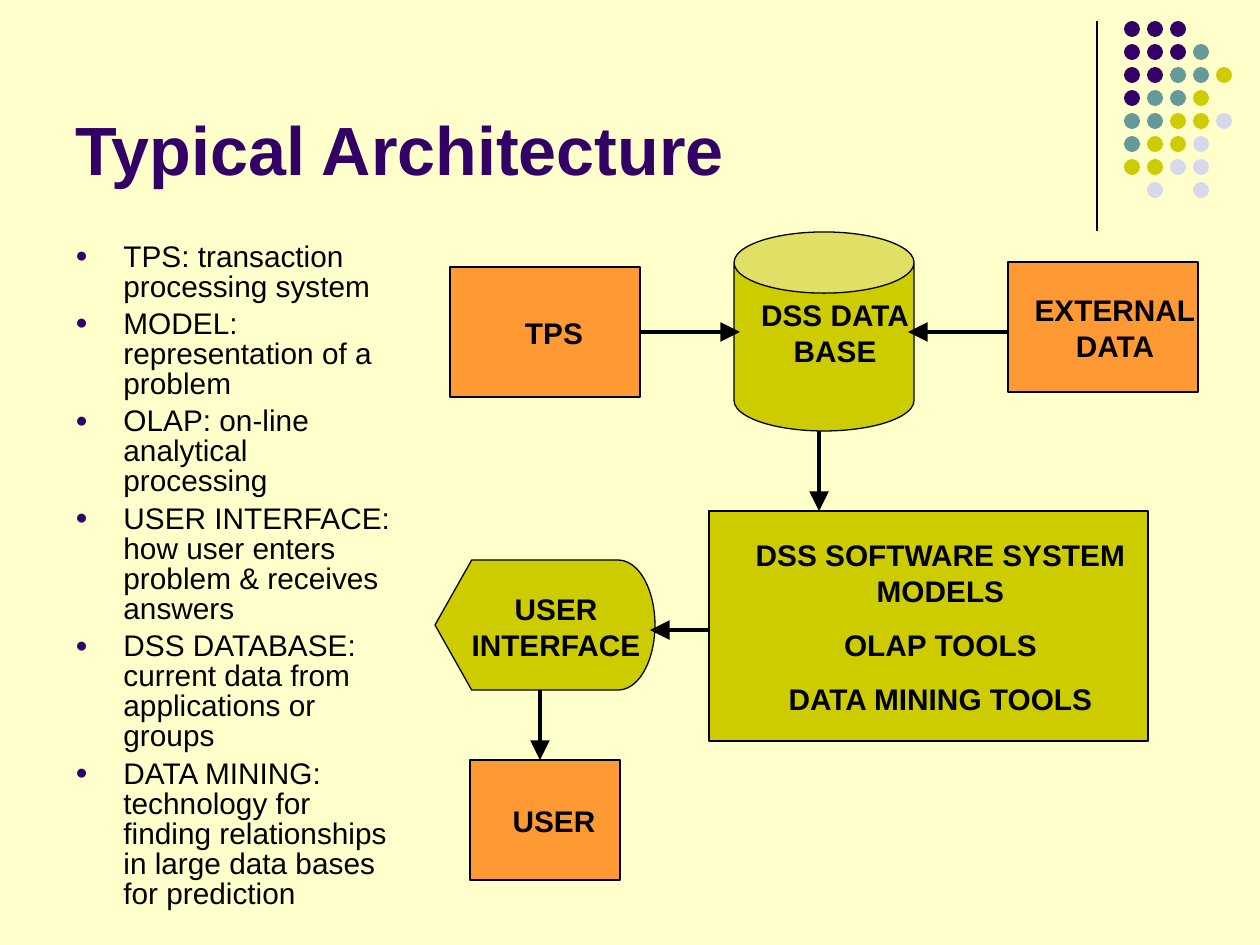
from lxml.etree import SubElement
from pptx import Presentation
from pptx.dml.color import RGBColor
from pptx.enum.shapes import MSO_CONNECTOR, MSO_SHAPE
from pptx.enum.text import MSO_ANCHOR, PP_ALIGN
from pptx.oxml.ns import qn
from pptx.util import Pt

SCALE = 914400 / 126
BLACK = RGBColor(0x00, 0x00, 0x00)
CREAM = RGBColor(0xFF, 0xFF, 0xCC)
PURPLE = RGBColor(0x33, 0x00, 0x66)
TEAL = RGBColor(0x66, 0x99, 0x99)
OLIVE = RGBColor(0xCC, 0xCC, 0x00)
LAVENDER = RGBColor(0xD8, 0xD8, 0xEC)
ORANGE = RGBColor(0xFF, 0x99, 0x33)

DOT_COLORS = {"P": PURPLE, "T": TEAL, "Y": OLIVE, "L": LAVENDER}
DOT_ROWS = ["PPP", "PPPT", "PPTTY", "PTTY", "TTYYL", "TYYL", "YYLL", "-L-L"]

DEFINITIONS = [
    "TPS: transaction processing system",
    "MODEL: representation of a problem",
    "OLAP: on-line analytical processing",
    "USER INTERFACE: how user enters problem & receives answers",
    "DSS DATABASE: current data from applications or groups",
    "DATA MINING: technology for finding relationships in large data bases for prediction",
]

NODES = [
    ("tps", MSO_SHAPE.RECTANGLE, ORANGE, (15, 35, 190, 130), (9, 48), ["TPS"]),
    ("external", MSO_SHAPE.RECTANGLE, ORANGE, (573, 30, 190, 130), (12, 30),
     ["EXTERNAL", "DATA"]),
    ("database", MSO_SHAPE.CAN, OLIVE, (299, 0, 180, 199), (11, 65),
     ["DSS DATA", "BASE"]),
    ("software", MSO_SHAPE.RECTANGLE, OLIVE, (274, 279, 439, 230), (12, 26),
     ["DSS SOFTWARE SYSTEM", "MODELS", "OLAP TOOLS", "DATA MINING TOOLS"]),
    ("interface", MSO_SHAPE.FLOWCHART_DISPLAY, OLIVE, (0, 328, 220, 130), (11, 31),
     ["USER", "INTERFACE"]),
    ("user", MSO_SHAPE.RECTANGLE, ORANGE, (35, 528, 150, 120), (9, 43), ["USER"]),
]
SPACED_LINES = {"OLAP TOOLS", "DATA MINING TOOLS"}

ARROWS = [
    (205, 100, 305, 100),
    (573, 100, 473, 100),
    (384, 199, 384, 279),
    (274, 398, 215, 398),
    (105, 458, 105, 528),
]


def emu(*lengths):
    """Turn px lengths into EMU."""
    return [round(length * SCALE) for length in lengths]


def apply(target, values):
    """Set each named attribute of the target."""
    for name, value in values.items():
        setattr(target, name, value)


def add_text(page, box, lines, font, layout, frame_values):
    """Add a wrapped text box with one paragraph per line."""
    frame = page.shapes.add_textbox(*emu(*box)).text_frame
    apply(frame, {"word_wrap": True, **frame_values})
    for index, line in enumerate(lines):
        para = frame.paragraphs[0] if index == 0 else frame.add_paragraph()
        apply(para, layout)
        span = para.add_run()
        span.text = line
        apply(span.font, {"name": "Arial", "size": Pt(17), "bold": False, **font})
        span.font.color.rgb = font_color(font)
    return frame


def font_color(font):
    """Choose purple for the large heading and black for other text."""
    return PURPLE if "size" in font else BLACK


def add_solid(page, kind, box, color, outlined=True):
    """Add a flat shape, with a thin black outline if wanted."""
    shape = page.shapes.add_shape(kind, *emu(*box))
    shape.shadow.inherit = False
    shape.fill.solid()
    shape.fill.fore_color.rgb = color
    if outlined:
        shape.line.color.rgb = BLACK
        shape.line.width = Pt(0.75)
    else:
        shape.line.fill.background()
    return shape


def add_line(page, ends, width, arrow=False):
    """Add a straight black line, with an arrowhead at its end if wanted."""
    line = page.shapes.add_connector(MSO_CONNECTOR.STRAIGHT, *emu(*ends))
    line.line.color.rgb = BLACK
    line.line.width = Pt(width)
    properties = line._element.spPr
    if arrow:
        SubElement(properties.find(qn("a:ln")), qn("a:tailEnd"),
                   type="triangle", w="lg", len="lg")
    SubElement(properties, qn("a:effectLst"))
    return line


def draw_ornament(page, box):
    """Draw the vertical rule and the grid of dots beside it."""
    left, top, width, height = box
    add_line(page, (left, top, left, top + height), 0.75)
    pitch, size = 23, 16
    for row, codes in enumerate(DOT_ROWS):
        for column, code in enumerate(codes):
            if code in DOT_COLORS:
                dot = (left + 27 + column * pitch, top + row * pitch, size, size)
                add_solid(page, MSO_SHAPE.OVAL, dot, DOT_COLORS[code], outlined=False)


def draw_title(page, box):
    """Write the heading at the bottom of its box."""
    add_text(page, box, ["Typical Architecture"], {"size": Pt(39), "bold": True},
             {}, {"vertical_anchor": MSO_ANCHOR.BOTTOM})


def draw_definitions(page, box):
    """Write the bulleted list of terms."""
    layout = {"line_spacing": 0.84, "space_before": Pt(4.2)}
    frame = add_text(page, box, DEFINITIONS, {}, layout, {})
    indent = emu(48)[0]
    for para in frame.paragraphs:
        properties = para._p.get_or_add_pPr()
        properties.set("marL", str(indent))
        properties.set("indent", str(-indent))
        color = SubElement(properties, qn("a:buClr"))
        SubElement(color, qn("a:srgbClr"), val=str(PURPLE))
        SubElement(properties, qn("a:buSzPct"), val="70000")
        SubElement(properties, qn("a:buFont"), typeface="Arial")
        SubElement(properties, qn("a:buChar"), char="●")


def draw_label(page, box, lines):
    """Write the centred bold lines of one node."""
    layout = {"alignment": PP_ALIGN.CENTER, "line_spacing": Pt(20.5)}
    margins = dict.fromkeys(
        ["margin_left", "margin_top", "margin_right", "margin_bottom"], 0)
    frame = add_text(page, box, lines, {"bold": True}, layout, margins)
    for para in frame.paragraphs:
        if para.text in SPACED_LINES:
            para.space_before = Pt(10.3)


def draw_architecture(page, box):
    """Draw the nodes of the system, their labels and the arrows."""
    left, top = box[:2]
    shapes = {}
    for name, kind, color, (x, y, width, height), (shift, drop), lines in NODES:
        node = (left + x, top + y, width, height)
        shapes[name] = add_solid(page, kind, node, color)
        label = (node[0] + shift, node[1] + drop, width, 36 * len(lines))
        draw_label(page, label, lines)
    shapes["database"].adjustments[0] = 0.34
    arrows = [
        add_line(page, (left + x1, top + y1, left + x2, top + y2), 2.25, arrow=True)
        for x1, y1, x2, y2 in ARROWS
    ]
    arrows[0].begin_connect(shapes["tps"], 3)


def main():
    """Build the deck and save it."""
    deck = Presentation()
    deck.slide_width, deck.slide_height = emu(1260, 945)
    page = deck.slides.add_slide(deck.slide_layouts[6])
    page.background.fill.solid()
    page.background.fill.fore_color.rgb = CREAM
    draw_ornament(page, (1097, 21, 135, 210))
    draw_title(page, (63, 16, 1040, 179))
    draw_definitions(page, (63, 237, 346, 677))
    draw_architecture(page, (435, 232, 764, 648))
    deck.save("out.pptx")


if __name__ == "__main__":
    main()
